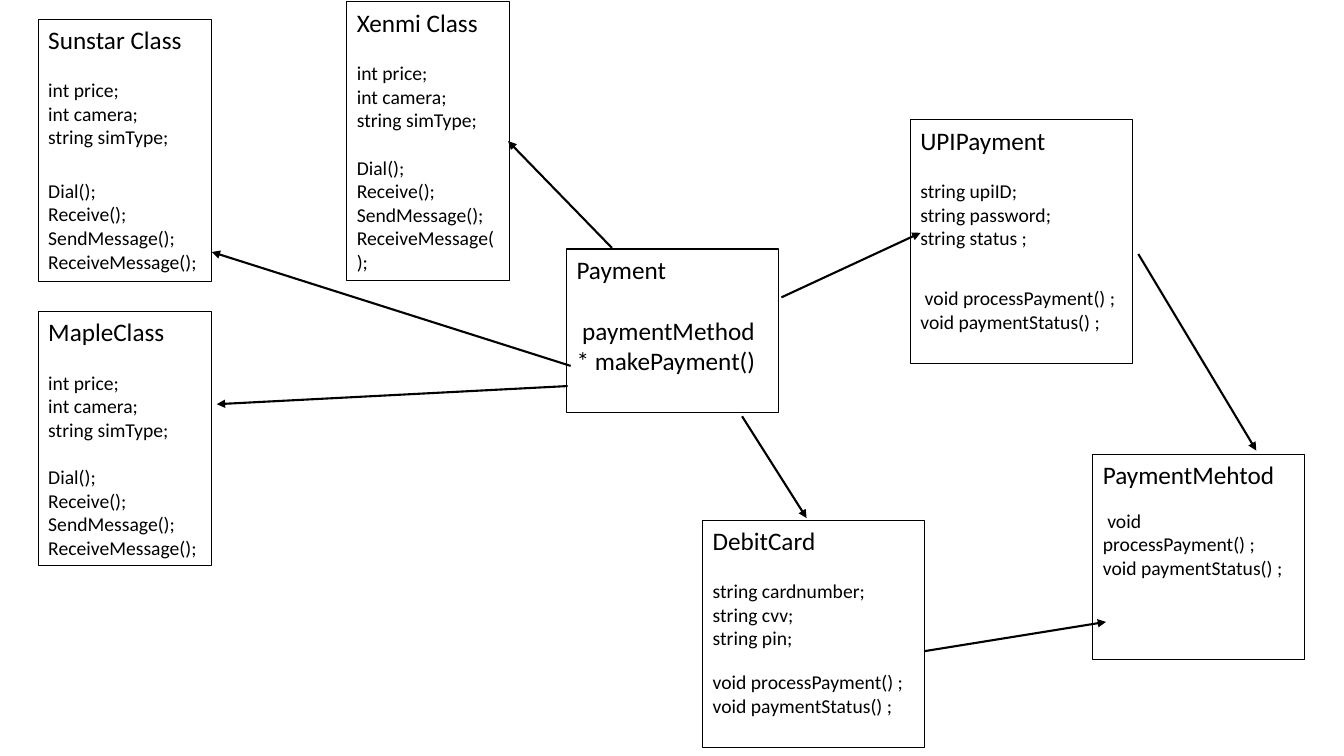
"""Build a class diagram of phone classes and payment classes joined by arrows."""
from lxml import etree
from pptx import Presentation
from pptx.dml.color import RGBColor
from pptx.enum.shapes import MSO_CONNECTOR
from pptx.enum.text import MSO_ANCHOR, MSO_AUTO_SIZE
from pptx.oxml.ns import qn
from pptx.util import Inches, Pt

BLACK = RGBColor(0, 0, 0)
STRAIGHT = MSO_CONNECTOR.STRAIGHT
TOP = MSO_ANCHOR.TOP
FIXED_SIZE = MSO_AUTO_SIZE.NONE
FONT = "Calibri"
TITLE_SIZE = 18
MEMBER_SIZE = 14

PHONE_FIELDS = ["int price;", "int camera;", "string simType;"]
PHONE_METHODS = ["Dial();", "Receive();", "SendMessage();", "ReceiveMessage();"]
STATUS_METHOD = "void\u00a0paymentStatus() ;"
PROCESS_METHOD = "void\u00a0processPayment()\u00a0;"

presentation = Presentation()
presentation.slide_width = Inches(13.33)
presentation.slide_height = Inches(7.5)
slide = presentation.slides.add_slide(presentation.slide_layouts[6])


def add_line(text_frame, text, size, gap):
    """Write one line, reusing the empty first paragraph for a title."""
    first = text_frame.paragraphs[0]
    paragraph = text_frame.add_paragraph() if first.runs else first
    paragraph.space_before = Pt(gap)
    run = paragraph.add_run()
    run.text = text
    run.font.name = FONT
    run.font.size = Pt(size)
    run.font.color.rgb = BLACK


classes = [
    ("Sunstar Class", (0.38, 0.19, 1.72, 2.6), MEMBER_SIZE,
     [(17, PHONE_FIELDS), (21.5, PHONE_METHODS)]),
    ("MapleClass", (0.38, 3.09, 1.72, 2.52), MEMBER_SIZE,
     [(17, PHONE_FIELDS), (17, PHONE_METHODS)]),
    ("Xenmi\u00a0Class", (3.44, 0.02, 1.61, 2.76), MEMBER_SIZE,
     [(17, PHONE_FIELDS), (17, PHONE_METHODS)]),
    ("PaymentMehtod", (10.84, 4.51, 2.1, 2.03), MEMBER_SIZE,
     [(13.5, ["\u00a0void processPayment() ;", "void paymentStatus() ;"])]),
    ("UPIPayment", (9.03, 1.19, 2.2, 2.42), MEMBER_SIZE,
     [(17, ["string upiID;", "string password;", "string status ;"]),
      (26, ["\u00a0" + PROCESS_METHOD, STATUS_METHOD])]),
    ("DebitCard", (6.97, 5.16, 2.2, 2.26), MEMBER_SIZE,
     [(17, ["string cardnumber;", "string cvv;", "string pin;"]),
      (14.5, [PROCESS_METHOD, STATUS_METHOD])]),
    ("Payment", (5.62, 2.47, 2.1, 1.62), TITLE_SIZE,
     [(22, ["\u00a0paymentMethod * makePayment()"])]),
]
for title, box, member_size, groups in classes:
    class_box = slide.shapes.add_textbox(*map(Inches, box))
    class_box.line.color.rgb = BLACK
    class_box.line.width = Pt(0.75)
    text_frame = class_box.text_frame
    text_frame.word_wrap = True
    text_frame.auto_size = FIXED_SIZE
    text_frame.vertical_anchor = TOP
    add_line(text_frame, title, TITLE_SIZE, 0)
    for group_gap, members in groups:
        for index, member in enumerate(members):
            add_line(text_frame, member, member_size, 0 if index else group_gap)

arrows = [
    (6.07, 2.46, 5.04, 1.4),
    (5.66, 3.63, 2.1, 2.5),
    (5.63, 3.83, 2.15, 4.01),
    (7.75, 2.95, 9.13, 2.31),
    (7.36, 4.13, 8, 5.14),
    (11.29, 2.52, 12.46, 4.47),
    (9.17, 6.46, 10.97, 6.17),
]
for ends in arrows:
    arrow = slide.shapes.add_connector(STRAIGHT, *map(Inches, ends))
    arrow.line.color.rgb = BLACK
    arrow.line.width = Pt(1.5)
    line_properties = arrow.line._get_or_add_ln()
    etree.SubElement(line_properties, qn("a:tailEnd"), type="triangle")
    etree.SubElement(line_properties.getparent(), qn("a:effectLst"))

presentation.save("out.pptx")
